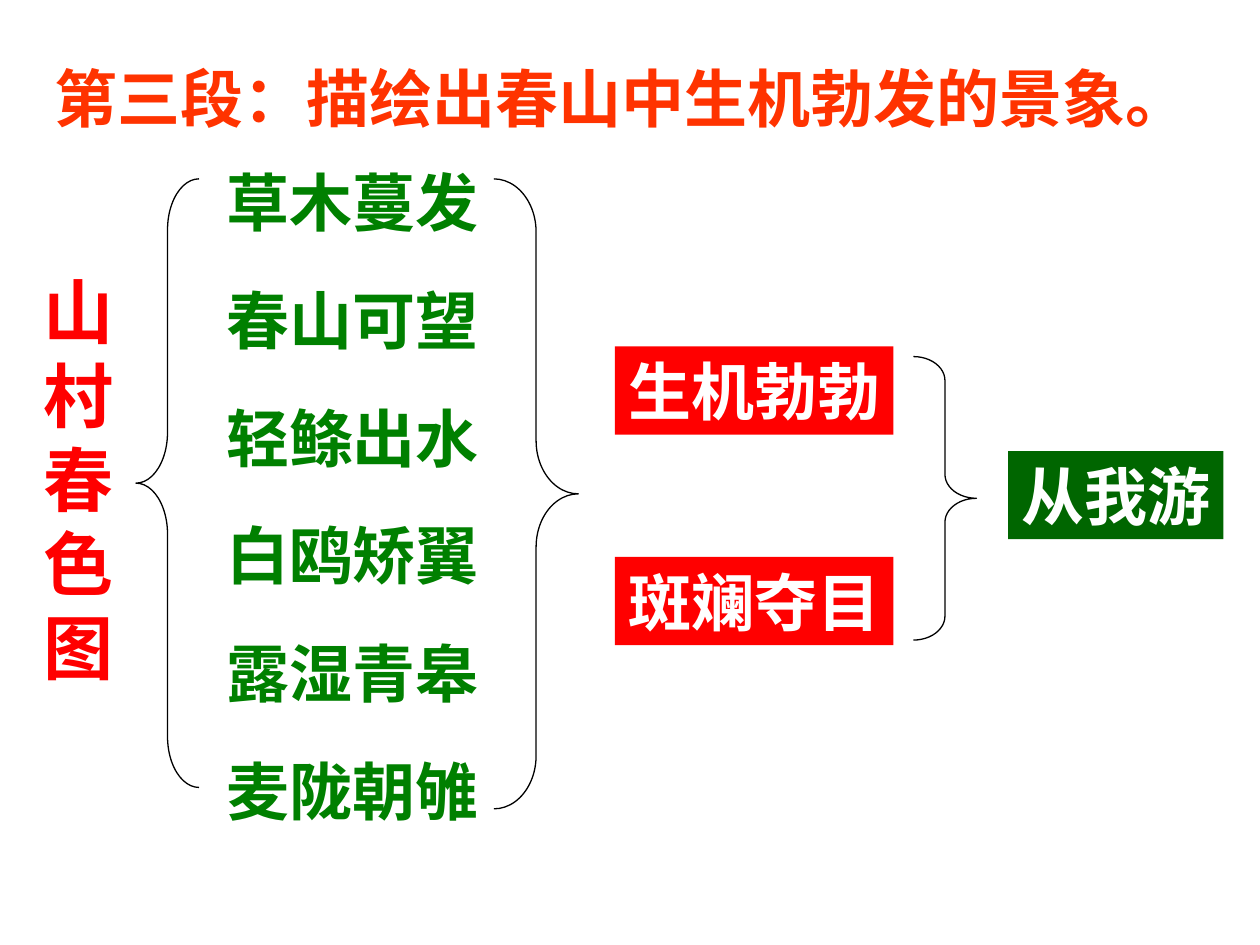
from pptx import Presentation
from pptx.dml.color import RGBColor
from pptx.enum import shapes, text
from pptx.util import Inches, Pt

COLORS = {"title": "FF3300", "red": "FF0000", "green": "008000",
          "dark_green": "006600", "white": "FFFFFF", "line": "000000"}
FONT = "Times New Roman"

TITLE = "第三段：描绘出春山中生机勃发的景象。"
THEME = "山村春色图"
SCENES = ["草木蔓发", "春山可望", "轻鲦出水", "白鸥矫翼", "露湿青皋", "麦陇朝雊"]
SCENE_LEFT, SCENE_WIDTH = 1.69, 2.21
FIRST_TOP, LAST_TOP = 1.25, 5.92
LABEL_HEIGHT = 0.7

LABELS = [
    ("生机勃勃", 4.88, 2.75, 2.21, "red"),
    ("斑斓夺目", 4.88, 4.42, 2.21, "red"),
    ("从我游", 8, 3.58, 1.71, "dark_green"),
]
BRACES = [
    ("LEFT_BRACE", 1.08, 1.42, 0.5, 4.83, 0.81),
    ("RIGHT_BRACE", 3.92, 1.42, 0.67, 5, 0.63),
    ("RIGHT_BRACE", 7.25, 2.83, 0.5, 2.25, 0.38),
]


def rgb(name):
    return RGBColor.from_string(COLORS[name])


def write(box, lines, color, size=36, align="CENTER", wrap=False):
    frame = box.text_frame
    frame_format = {"word_wrap": wrap, "vertical_anchor": text.MSO_ANCHOR.TOP,
                    "auto_size": text.MSO_AUTO_SIZE.SHAPE_TO_FIT_TEXT}
    for name, value in frame_format.items():
        setattr(frame, name, value)
    frame.text = "\n".join(lines)
    for para in frame.paragraphs:
        para.alignment = getattr(text.PP_ALIGN, align)
        for span in para.runs:
            for name, value in {"name": FONT, "size": Pt(size), "bold": True}.items():
                setattr(span.font, name, value)
            span.font.color.rgb = rgb(color)


def add_shape(page, kind, *place):
    shape = page.shapes.add_shape(getattr(shapes.MSO_SHAPE, kind), *map(Inches, place))
    shape.shadow.inherit = False
    return shape


def main():
    deck = Presentation()
    deck.slide_width, deck.slide_height = Inches(10), Inches(7.5)
    page = deck.slides.add_slide(deck.slide_layouts[5])

    title = page.shapes.title
    place = {"left": 0.33, "top": 0.42, "width": 9.23, "height": LABEL_HEIGHT}
    for name, value in place.items():
        setattr(title, name, Inches(value))
    write(title, [TITLE], "title", align="LEFT")

    theme = page.shapes.add_textbox(*map(Inches, (0.25, 2.08, 0.83, 3.43)))
    write(theme, THEME, "red", size=40, align="LEFT", wrap=True)

    pitch = (LAST_TOP - FIRST_TOP) / (len(SCENES) - 1)
    for index, scene in enumerate(SCENES):
        top = FIRST_TOP + index * pitch
        box = page.shapes.add_textbox(
            *map(Inches, (SCENE_LEFT, top, SCENE_WIDTH, LABEL_HEIGHT)))
        write(box, [scene], "green")

    for kind, left, top, width, height, curve in BRACES:
        brace = add_shape(page, kind, left, top, width, height)
        brace.adjustments[0] = curve
        brace.adjustments[1] = 0.5
        brace.fill.background()
        brace.line.color.rgb = rgb("line")
        brace.line.width = Pt(0.75)

    for label, left, top, width, color in LABELS:
        box = add_shape(page, "RECTANGLE", left, top, width, LABEL_HEIGHT)
        box.fill.solid()
        box.fill.fore_color.rgb = rgb(color)
        box.line.fill.background()
        write(box, [label], "white")

    deck.save("out.pptx")


if __name__ == "__main__":
    main()
